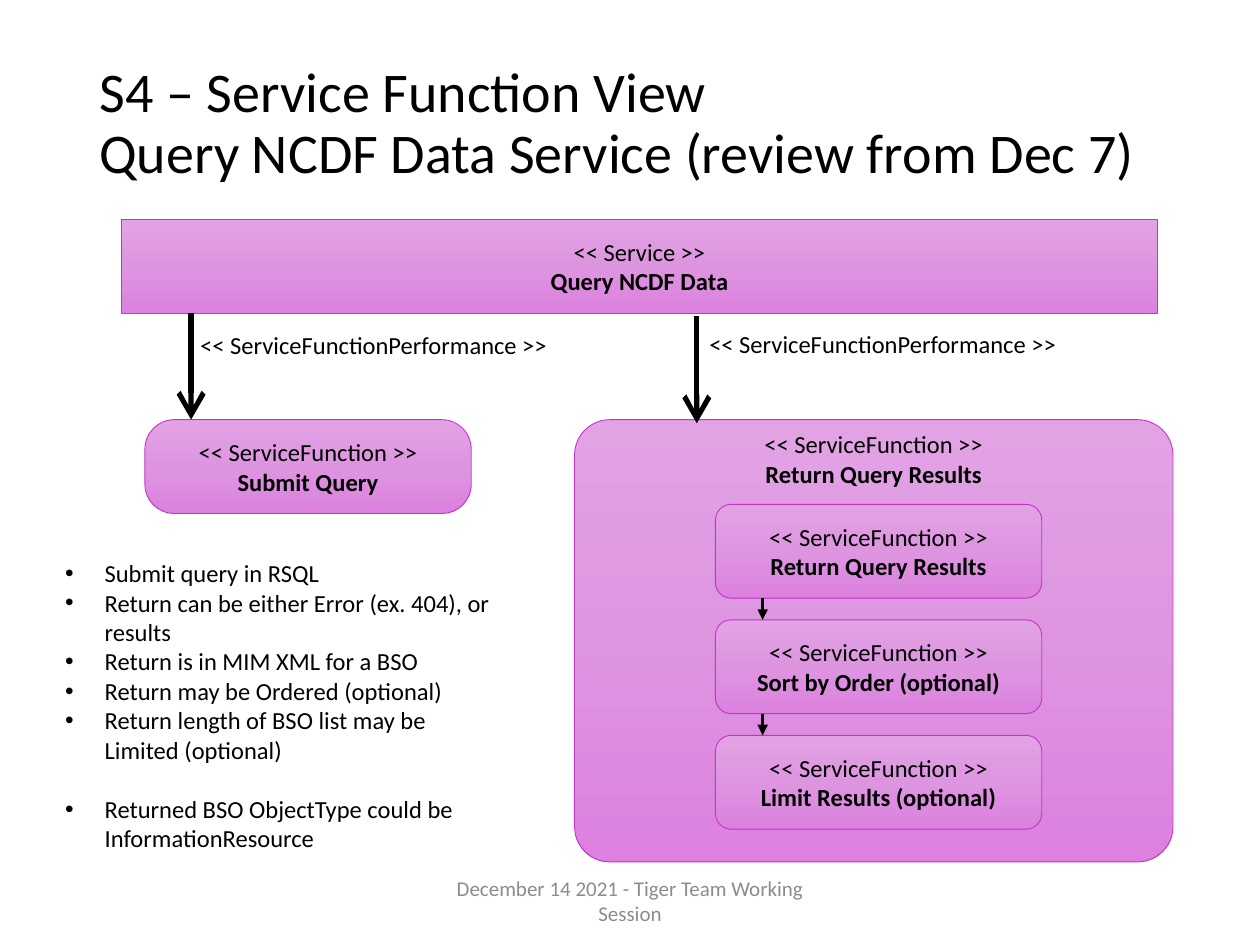
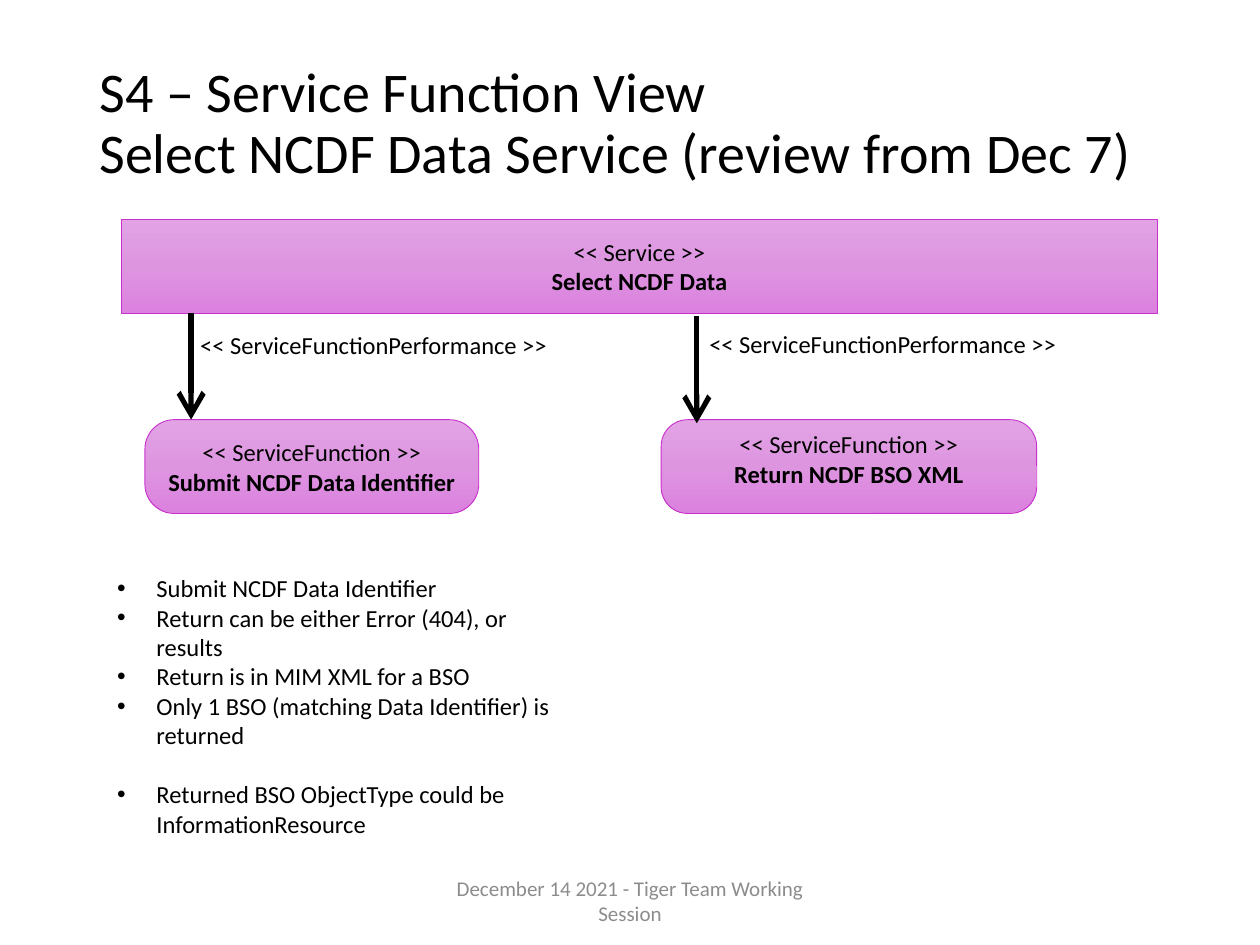
from copy import deepcopy

from lxml import etree
from pptx import Presentation
from pptx.dml.color import RGBColor
from pptx.enum.shapes import MSO_CONNECTOR, MSO_SHAPE
from pptx.enum.text import MSO_ANCHOR, PP_ALIGN
from pptx.oxml.ns import qn
from pptx.util import Pt

RECT, ROUNDED = MSO_SHAPE.RECTANGLE, MSO_SHAPE.ROUNDED_RECTANGLE
STRAIGHT = MSO_CONNECTOR.STRAIGHT
LEFT, CENTER = PP_ALIGN.LEFT, PP_ALIGN.CENTER
TOP, MIDDLE = MSO_ANCHOR.TOP, MSO_ANCHOR.MIDDLE

COLORS = {
    "text": "000000",
    "footer": "8C8C8C",
    "outline": "C830CC",
    "light": "E2A3E5",
    "mid": "DD95E0",
    "dark": "DC81DF",
}
FONT = "Calibri"
BOX_H = 53.6
FUNCTION_TOP = 239.8
LABEL_W = 160
STEP_LEFT, STEP_TOP, STEP_W, STEP_PITCH = 408.8, 288.2, 186.5, 66
BULLET_INDENT = 22.5
FUNCTION = "<< ServiceFunction >>"
PERFORMANCE = "<< ServiceFunctionPerformance >>"
FOOTER = "December 14 2021 - Tiger Team Working Session"

SLIDES = [
    {
        "title": "Query NCDF Data Service (review from Dec 7)",
        "service": "Query NCDF Data",
        "submit": ("Submit Query", 186.5),
        "return": ("Return Query Results", 328.3, 342, 252.7, 0.08),
        "steps": ["Return Query Results", "Sort by Order (optional)",
                  "Limit Results (optional)"],
        "notes_box": (30.2, 315.4, 257.8, 177.1),
        "notes": ["Submit query in RSQL",
                  "Return can be either Error (ex. 404), or results",
                  "Return is in MIM XML for a BSO",
                  "Return may be Ordered (optional)",
                  "Return length of BSO list may be Limited (optional)",
                  "Returned BSO ObjectType could be InformationResource"],
    },
    {
        "title": "Select NCDF Data Service (review from Dec 7)",
        "service": "Select NCDF Data",
        "submit": ("Submit NCDF Data Identifier", 190.8),
        "return": ("Return NCDF BSO XML", 377.8, 214.6, BOX_H, 0.283),
        "steps": [],
        "notes_box": (59.8, 324, 262.1, 159.8),
        "notes": ["Submit NCDF Data Identifier",
                  "Return can be either Error (404), or results",
                  "Return is in MIM XML for a BSO",
                  "Only 1 BSO (matching Data Identifier) is returned",
                  "Returned BSO ObjectType could be InformationResource"],
    },
]


def add_text(sp, lines, size=14, color="text", align=LEFT, anchor=TOP, wrap=True):
    """Fill a shape with one paragraph per (text, bold) pair."""
    tf = sp.text_frame
    tf.word_wrap = wrap
    tf.vertical_anchor = anchor
    for i, (text, bold) in enumerate(lines):
        p = tf.paragraphs[0] if i == 0 else tf.add_paragraph()
        p.alignment = align
        r = p.add_run()
        r.text = text
        r.font.name = FONT
        r.font.size = Pt(size)
        r.font.bold = bold
        r.font.color.rgb = RGBColor.from_string(COLORS[color])
    return tf


def add_box(s, kind, left, top, width, height, lines=(), corner=None):
    """Add an outlined box with the vertical three-stop gradient."""
    sp = s.shapes.add_shape(kind, Pt(left), Pt(top), Pt(width), Pt(height))
    sp.shadow.inherit = False
    if corner is not None:
        sp.adjustments[0] = corner
    sp.fill.gradient()
    sp.fill.gradient_angle = 270
    first = sp._element.spPr.find(qn("a:gradFill")).find(qn("a:gsLst"))[0]
    first.addnext(deepcopy(first))
    for stop, position, name in zip(sp.fill.gradient_stops, (0, 0.5, 1),
                                    ("light", "mid", "dark")):
        stop.position = position
        stop.color.rgb = RGBColor.from_string(COLORS[name])
    sp.line.color.rgb = RGBColor.from_string(COLORS["outline"])
    sp.line.width = Pt(0.5)
    add_text(sp, lines, align=CENTER, anchor=MIDDLE)


prs = Presentation()
prs.slide_width, prs.slide_height = Pt(720), Pt(540)

for content in SLIDES:
    s = prs.slides.add_slide(prs.slide_layouts[6])

    # Title
    sp = s.shapes.add_textbox(Pt(49.7), Pt(28.8), Pt(620.6), Pt(85))
    tf = add_text(sp, [("S4 – Service Function View", False)], 32, anchor=MIDDLE)
    p = tf.paragraphs[0]
    p.line_spacing = 0.9
    p.add_line_break()
    r = p.add_run()
    r.text = content["title"]
    r.font.name = FONT
    r.font.size = Pt(32)
    r.font.color.rgb = RGBColor.from_string(COLORS["text"])

    # Service and its functions
    add_box(s, RECT, 69.6, 125.3, 591.8, BOX_H,
            [("<< Service >>", False), (content["service"], True)])
    name, width = content["submit"]
    add_box(s, ROUNDED, 82.8, FUNCTION_TOP, width, BOX_H,
            [(FUNCTION, False), (name, True)], 0.314)
    name, left, width, height, corner = content["return"]
    add_box(s, ROUNDED, left, FUNCTION_TOP, width, height, corner=corner)
    sp = s.shapes.add_textbox(Pt(left + (width - LABEL_W) / 2), Pt(241.7),
                              Pt(LABEL_W), Pt(41))
    add_text(sp, [(FUNCTION, False), (name, True)], align=CENTER, wrap=False)

    # Steps inside the return function
    arrows = [(109.2, 178.6, FUNCTION_TOP, 3, "arrow", "lg"),
              (398.2, 180.7, 241.9, 3, "arrow", "lg")]
    for i, step in enumerate(content["steps"]):
        top = STEP_TOP + i * STEP_PITCH
        add_box(s, ROUNDED, STEP_LEFT, top, STEP_W, BOX_H,
                [(FUNCTION, False), (step, True)])
        if i:
            arrows.append((435.8, top - STEP_PITCH + BOX_H, top, 2,
                           "triangle", "med"))

    for x, start, end, weight, head, size in arrows:
        line = s.shapes.add_connector(STRAIGHT, Pt(x), Pt(start), Pt(x), Pt(end))
        line.line.color.rgb = RGBColor.from_string(COLORS["text"])
        line.line.width = Pt(weight)
        spPr = line._element.spPr
        etree.SubElement(spPr.find(qn("a:ln")), qn("a:tailEnd"),
                         type=head, w=size, len=size)
        etree.SubElement(spPr, qn("a:effectLst"))

    for left, top in ((107.3, 185), (398.2, 184.3)):
        sp = s.shapes.add_textbox(Pt(left), Pt(top), Pt(214.6), Pt(24.2))
        add_text(sp, [(PERFORMANCE, False)], wrap=False)

    # Notes, with the last one set apart
    sp = s.shapes.add_textbox(*[Pt(v) for v in content["notes_box"]])
    tf = add_text(sp, [(note, False) for note in content["notes"]])
    for p in tf.paragraphs:
        pPr = p._p.get_or_add_pPr()
        pPr.set("marL", str(Pt(BULLET_INDENT)))
        pPr.set("indent", str(-Pt(BULLET_INDENT)))
        etree.SubElement(pPr, qn("a:buFont"), typeface="Arial")
        etree.SubElement(pPr, qn("a:buChar"), char="•")
    tf.paragraphs[-1].space_before = Pt(17)

    # Footer
    sp = s.shapes.add_textbox(Pt(238.5), Pt(500.2), Pt(243), Pt(28.8))
    add_text(sp, [(FOOTER, False)], 12, "footer", CENTER, MIDDLE)

prs.save("out.pptx")
